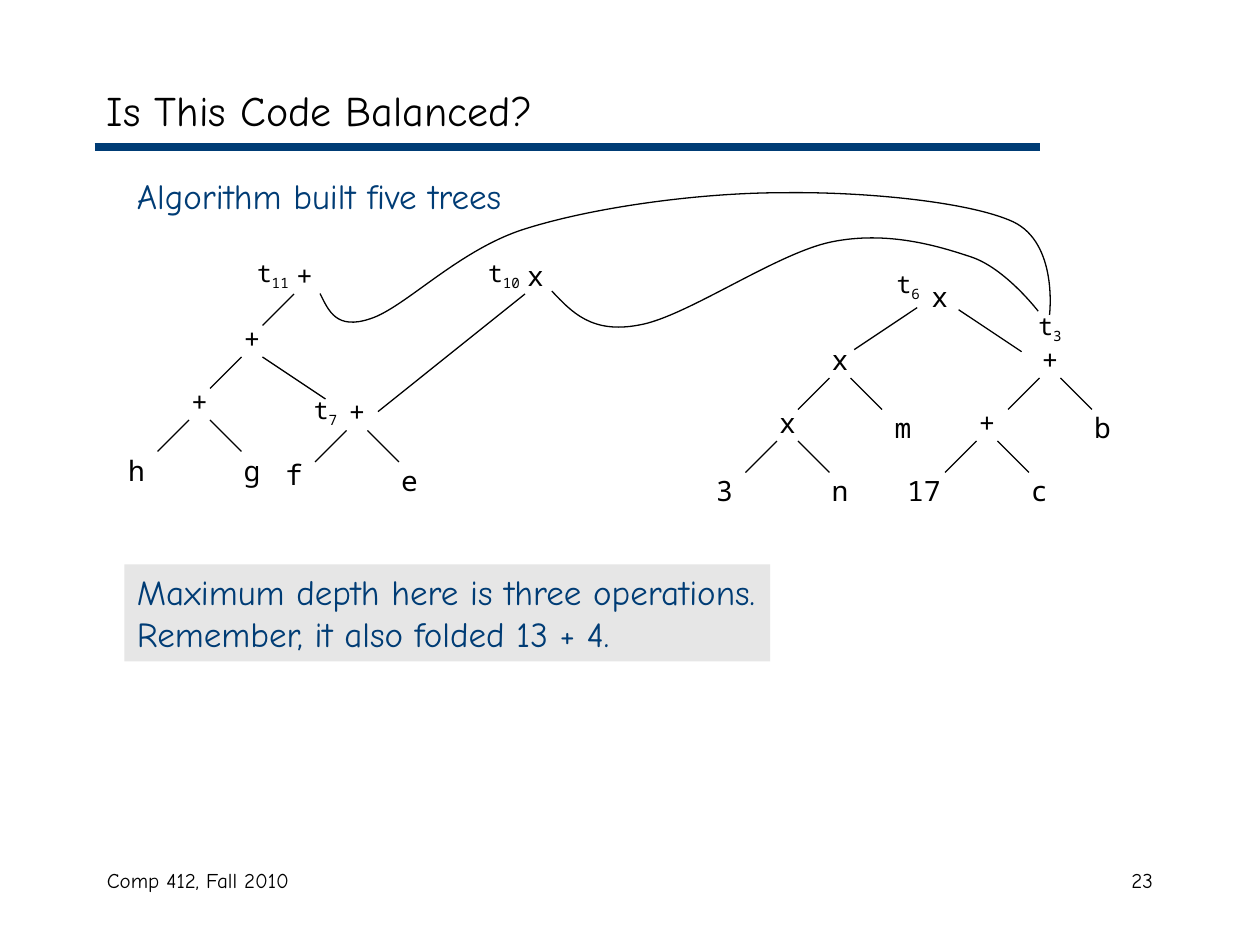
from lxml.etree import SubElement
from pptx import Presentation
from pptx.dml.color import RGBColor
from pptx.enum.shapes import MSO_CONNECTOR
from pptx.enum.text import MSO_ANCHOR, PP_ALIGN as ALIGN
from pptx.oxml.ns import qn
from pptx.util import Inches, Pt

BLACK = RGBColor(0x00, 0x00, 0x00)
BLUE = RGBColor(0x00, 0x3C, 0x75)
GREY = RGBColor(0xE6, 0xE6, 0xE6)
SANS, MONO = "Comic Neue", "Noto Sans Mono"

deck = Presentation()
deck.slide_width, deck.slide_height = Inches(10), Inches(7.5)
slide = deck.slides.add_slide(deck.slide_layouts[6])
shapes = slide.shapes
UNIT = deck.slide_width / 120  # the slide is a grid of 120 columns and 90 rows


def write(text, box, size, color=BLACK, font=SANS, align=ALIGN.LEFT, wrap=True, sub=""):
    """Place text in a box of (column, row, columns, rows), with an optional subscript."""
    area = shapes.add_textbox(*(round(n * UNIT) for n in box))
    frame = area.text_frame
    frame.text = text
    frame.word_wrap = wrap
    if sub:
        low = frame.paragraphs[0].add_run()
        low.text = sub
        low._r.get_or_add_rPr().set("baseline", "-25000")
    for para in frame.paragraphs:
        para.alignment = align
        for run in para.runs:
            run.font.name, run.font.size = font, Pt(size)
            run.font.color.rgb = color
    return area


def draw(x1, y1, x2, y2, color=BLACK, width=0.75):
    """Draw a straight line between two grid points."""
    ends = (round(n * UNIT) for n in (x1, y1, x2, y2))
    line = shapes.add_connector(MSO_CONNECTOR.STRAIGHT, *ends)
    line.line.color.rgb, line.line.width = color, Pt(width)
    SubElement(line._element.spPr, qn("a:effectLst"))


# Title, rule, footer and statements
draw(9, 14, 99, 14, BLUE, 4.5)
title = write("Is This Code Balanced?", (9, 6.95, 102, 6.95), 24)
title.text_frame.vertical_anchor = MSO_ANCHOR.MIDDLE
write("Comp 412, Fall 2010", (9, 82, 38, 6), 12)
write("23", (86, 82, 25, 6), 12, align=ALIGN.RIGHT)
write("Algorithm built five trees", (11.86, 16, 37.2, 5.28), 20, BLUE, wrap=False)
note = write("Maximum depth here is three operations.\nRemember, it also folded 13 + 4.",
             (11.86, 53.75, 61.5, 9.24), 20, BLUE, wrap=False)
note.fill.solid()
note.fill.fore_color.rgb = GREY

# Tree nodes: sign, centre column, top row, sides with a regular branch (-1 left, 1 right)
BOTH, LEFT, NONE = (-1, 1), (-1,), ()
nodes = [
    ("+", 29, 24, LEFT), ("+", 24, 30, LEFT), ("+", 19, 36, BOTH), ("+", 34, 37, BOTH),
    ("h", 13, 42.6, NONE), ("g", 24, 42.6, NONE), ("f", 28, 43, NONE), ("e", 39, 43.55, NONE),
    ("x", 51, 24, NONE),
    ("x", 89.5, 26, NONE), ("x", 80, 32, BOTH), ("x", 75, 38, BOTH),
    ("3", 69, 44.55, NONE), ("n", 80, 44.55, NONE), ("m", 86, 38.55, NONE),
    ("+", 100, 32, BOTH), ("+", 94, 38, BOTH),
    ("17", 88, 44.55, NONE), ("c", 99, 44.55, NONE), ("b", 105, 38.55, NONE),
]
for sign, col, row, sides in nodes:
    wide = 6 if sign in ("h", "3", "m", "17") else 4
    write(sign, (col - wide / 2, row, wide, 4.4), 16, font=MONO, align=ALIGN.CENTER)
    for side in sides:
        draw(col + side, row + 4, col + 4 * side, row + 7)

# Names of the tree roots
for sub, col, row in [("11", 26, 24), ("10", 48, 24), ("7", 31, 37), ("6", 86.5, 25), ("3", 100, 29)]:
    write("t", (col - 3, row, 6, 4.4), 14, font=MONO, align=ALIGN.CENTER, sub=sub)

# Longer branches
for ends in [(25, 34, 31, 38), (50, 28, 36, 39.2), (87.35, 29.3, 81.35, 33.3), (91.3, 29.5, 97.3, 33.5)]:
    draw(*ends)

# Curved branches into t3: a start point, then three Bézier points a piece, in inches
curves = [
    [(4.38, 2.31), (4.54, 2.48), (4.7, 2.65), (5.07, 2.58), (5.44, 2.52), (6.16, 2.01),
     (6.6, 1.92), (7.04, 1.83), (7.44, 1.95), (7.71, 2.04), (7.98, 2.13), (8.24, 2.47), (8.24, 2.47)],
    [(2.54, 2.33), (2.61, 2.47), (2.67, 2.62), (2.94, 2.53), (3.22, 2.44), (3.65, 1.97),
     (4.19, 1.81), (4.74, 1.64), (5.57, 1.53), (6.21, 1.53), (6.85, 1.52), (7.69, 1.6),
     (8.04, 1.76), (8.4, 1.93), (8.33, 2.5), (8.33, 2.5)],
]
for knots in curves:
    start, *rest = [(Inches(x), Inches(y)) for x, y in knots]
    pen = shapes.build_freeform(*start)
    pen.add_line_segments(rest, close=False)
    curve = pen.convert_to_shape()
    curve.shadow.inherit = False
    curve.fill.background()
    curve.line.color.rgb, curve.line.width = BLACK, Pt(0.75)
    # Gather each three straight segments into one Bézier piece
    trail = next(curve._element.iter(qn("a:path")))
    legs = trail.findall(qn("a:lnTo"))
    for i in range(0, len(legs), 3):
        bend = SubElement(trail, qn("a:cubicBezTo"))
        for leg in legs[i:i + 3]:
            bend.append(leg[0])
            trail.remove(leg)

deck.save("out.pptx")
